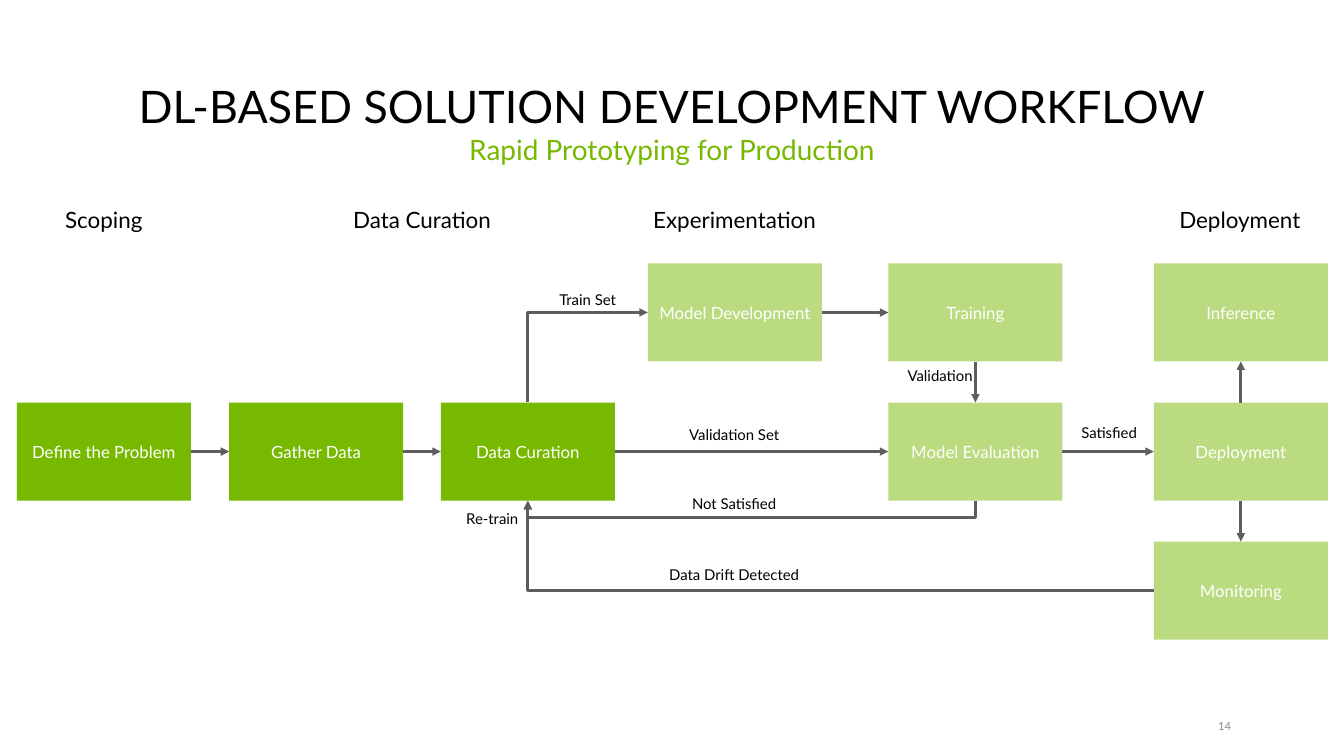
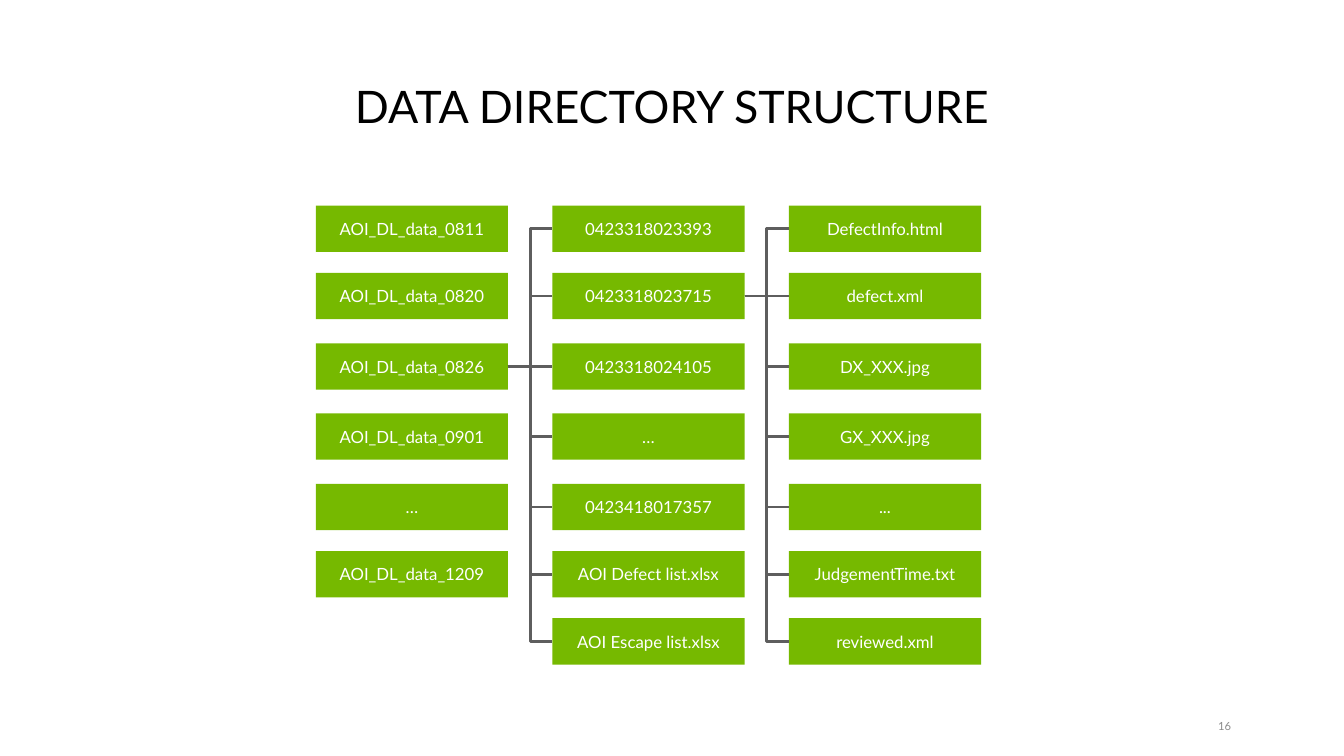
from lxml import etree
from pptx import Presentation
from pptx import util as u
from pptx.dml.color import RGBColor
from pptx.enum import shapes as kinds, text
from pptx.oxml.ns import qn

PX = 9144  # 100 px to the inch
GREEN, GREY, BLACK, WHITE = "76B900", "5E5E5E", "000000", "FFFFFF"
TITLE = {"size": 48, "color": BLACK}
SUBTITLE = {"size": 30, "color": GREEN}
PHASE = {"size": 24, "color": BLACK}
NOTE = {"size": 16, "color": BLACK}
BOX_TEXT = {"size": 18, "color": WHITE}
PAGE_NUMBER = {"size": 12, "color": "8C8C8C"}
MIDDLE, CENTER = text.MSO_ANCHOR.MIDDLE, text.PP_ALIGN.CENTER

STEP_W, STEP_H = 259, 146
STEPS = {  # name: left, top, opacity in percent
    "Define the Problem": (0, 293, 100),
    "Gather Data": (316, 293, 100),
    "Data Curation": (631, 293, 100),
    "Model Development": (939, 86, 50),
    "Training": (1297, 86, 50),
    "Model Evaluation": (1297, 293, 50),
    "Inference": (1692, 86, 50),
    "Deployment": (1692, 293, 50),
    "Monitoring": (1692, 500, 50),
}
PHASES = [  # name, left, width
    ("Scoping", -14, 287),
    ("Data Curation", 446, 314),
    ("Experimentation", 911, 314),
    ("Deployment", 1670, 300),
]
NOTES = [  # wording, left, top, width
    ("Validation", 1217, 238, 314),
    ("Not Satisfied", 872, 428, 391),
    ("Data Drift Detected", 872, 533, 391),
    ("Re-train", 512, 451, 391),
    ("Satisfied", 1430, 323, 391),
    ("Train Set", 654, 125, 391),
    ("Validation Set", 872, 325, 391),
]
STRAIGHT_FLOWS = [
    ("Define the Problem", "right", "Gather Data", "left"),
    ("Gather Data", "right", "Data Curation", "left"),
    ("Data Curation", "right", "Model Evaluation", "left"),
    ("Model Development", "right", "Training", "left"),
    ("Training", "bottom", "Model Evaluation", "top"),
    ("Deployment", "bottom", "Monitoring", "top"),
    ("Deployment", "top", "Inference", "bottom"),
    ("Model Evaluation", "right", "Deployment", "left"),
]
SIDES = {"left": (0, 0.5), "right": (1, 0.5), "top": (0.5, 0), "bottom": (0.5, 1)}

FILE_W, FILE_H, COLUMN_STEP = 286, 69, 352
ROW_TOPS = [0, 100, 205, 309, 414, 514, 614]
FOLDERS = [
    ["AOI_DL_data_0811", "AOI_DL_data_0820", "AOI_DL_data_0826",
     "AOI_DL_data_0901", "…", "AOI_DL_data_1209"],
    ["0423318023393", "0423318023715", "0423318024105", "…",
     "0423418017357", "AOI Defect list.xlsx", "AOI Escape list.xlsx"],
    ["DefectInfo.html", "defect.xml", "DX_XXX.jpg", "GX_XXX.jpg",
     "...", "JudgementTime.txt", "reviewed.xml"],
]
OPENED_ROWS = [2, 1]  # row whose content fills the next column


def px(length):
    return u.Emu(round(length * PX))


def rgb(color):
    return RGBColor.from_string(color)


def write(frame, wording, style, align=CENTER, anchor=MIDDLE, spacing=None):
    frame.word_wrap = True
    frame.vertical_anchor = anchor
    paragraph = frame.paragraphs[0]
    paragraph.alignment = align
    if spacing:
        paragraph.line_spacing = spacing
    run = paragraph.add_run()
    run.text = wording
    for key, value in {"name": "Lato", "size": u.Pt(style["size"])}.items():
        setattr(run.font, key, value)
    run.font.color.rgb = rgb(style["color"])


def add_text(shapes, box, wording, style, **layout):
    frame = shapes.add_textbox(*map(px, box)).text_frame
    write(frame, wording, style, **layout)
    return frame


def add_block(shapes, box, wording, opacity=100):
    block = shapes.add_shape(kinds.MSO_SHAPE.RECTANGLE, *map(px, box))
    block.shadow.inherit = False
    block.fill.solid()
    block.fill.fore_color.rgb = rgb(GREEN)
    block.line.fill.background()
    if opacity < 100:
        tint = block._element.spPr.find(qn("a:solidFill"))[0]
        etree.SubElement(tint, qn("a:alpha"), val=str(opacity * 1000))
    write(block.text_frame, wording, BOX_TEXT)


def add_link(shapes, start, end, preset="line", arrow=False, upright=False, bend=None):
    """Join two points; an upright link leaves its start vertically.

    bend places the middle leg, as a multiple of the distance covered.
    """
    if upright:
        (x1, y1), (x2, y2) = start, end
        mid_x, mid_y = (x1 + x2) / 2, (y1 + y2) / 2
        half_w, half_h = (y2 - y1) / 2, (x1 - x2) / 2
        start = mid_x - half_w, mid_y - half_h
        end = mid_x + half_w, mid_y + half_h
    kind = kinds.MSO_CONNECTOR.STRAIGHT if preset == "line" else kinds.MSO_CONNECTOR.ELBOW
    link = shapes.add_connector(kind, *map(px, (*start, *end)))
    link.line.color.rgb = rgb(GREY)
    link.line.width = u.Pt(3)
    properties = link._element.spPr
    if upright:
        properties.find(qn("a:xfrm")).set("rot", "5400000")
    geometry = properties.find(qn("a:prstGeom"))
    geometry.set("prst", preset)
    if bend is not None:
        etree.SubElement(geometry.find(qn("a:avLst")), qn("a:gd"),
                         name="adj1", fmla=f"val {bend * 100000}")
    if arrow:
        etree.SubElement(properties.find(qn("a:ln")), qn("a:tailEnd"), type="triangle")
    etree.SubElement(properties, qn("a:effectLst"))


def add_page(deck, title, number, subtitle=None):
    shapes = deck.slides.add_slide(deck.slide_layouts[6]).shapes
    add_text(shapes, (91, 95, 1818, 108), title, TITLE,
             anchor=text.MSO_ANCHOR.BOTTOM, spacing=0.9)
    if subtitle:
        add_text(shapes, (91, 198, 1818, 96), subtitle, SUBTITLE,
                 anchor=text.MSO_ANCHOR.TOP, spacing=0.9)
    footer = add_text(shapes, (1777, 1071, 59, 20), number, PAGE_NUMBER,
                      align=text.PP_ALIGN.RIGHT)
    margins = {"left": 0, "top": 0, "right": 4, "bottom": 0}
    for side, margin in margins.items():
        setattr(footer, f"margin_{side}", px(margin))
    return shapes


def draw_workflow(shapes, left, top):
    def port(step, side):
        step_left, step_top, _ = STEPS[step]
        across, down = SIDES[side]
        return left + step_left + across * STEP_W, top + step_top + down * STEP_H

    for step, (x, y, opacity) in STEPS.items():
        add_block(shapes, (left + x, top + y, STEP_W, STEP_H), step, opacity)

    for source, exit_side, target, entry_side in STRAIGHT_FLOWS:
        add_link(shapes, port(source, exit_side), port(target, entry_side), arrow=True)
    curation_foot = port("Data Curation", "bottom")
    add_link(shapes, port("Data Curation", "top"), port("Model Development", "left"),
             "bentConnector2", arrow=True, upright=True)
    add_link(shapes, port("Monitoring", "left"), curation_foot,
             "bentConnector2", arrow=True)
    add_link(shapes, port("Model Evaluation", "bottom"),
             (curation_foot[0], curation_foot[1] + 1),
             "bentConnector3", arrow=True, upright=True, bend=25)

    for phase, x, width in PHASES:
        add_text(shapes, (left + x, top, width, 46), phase, PHASE, spacing=0.9)
    for note, x, y, width in NOTES:
        add_text(shapes, (left + x, top + y, width, 34), note, NOTE, spacing=0.9)


def draw_directory(shapes, left, top):
    tree = shapes.add_group_shape().shapes
    for column, names in enumerate(FOLDERS):
        x = left + column * COLUMN_STEP
        for name, y in zip(names, ROW_TOPS):
            add_block(tree, (x, top + y, FILE_W, FILE_H), name)

    middles = [top + y + FILE_H / 2 for y in ROW_TOPS]
    for column, opened in enumerate(OPENED_ROWS):
        x = left + column * COLUMN_STEP
        for row, middle in enumerate(middles):
            add_link(tree, (x + FILE_W, middles[opened]), (x + COLUMN_STEP, middle),
                     "line" if row == opened else "bentConnector3")


def main():
    deck = Presentation()
    deck.slide_width, deck.slide_height = px(2000), px(1125)
    workflow = add_page(deck, "DL-BASED SOLUTION DEVELOPMENT WORKFLOW", "14",
                        "Rapid Prototyping for Production")
    draw_workflow(workflow, 25, 306)
    directory = add_page(deck, "DATA DIRECTORY STRUCTURE", "16")
    draw_directory(directory, 470, 306)
    deck.save("out.pptx")


if __name__ == "__main__":
    main()
